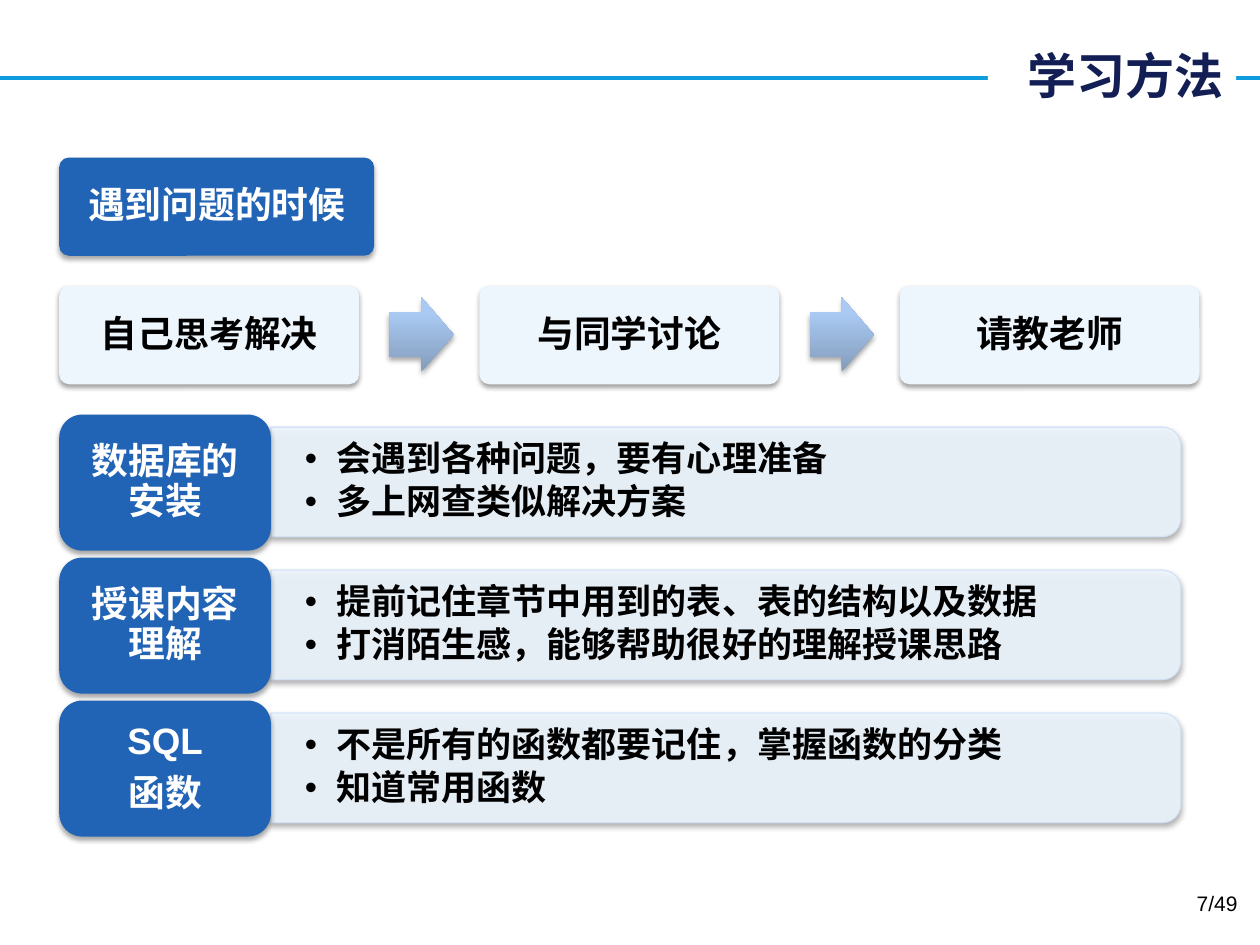
from dataclasses import dataclass

from lxml import etree
from pptx import Presentation
from pptx import util as u
from pptx.dml.color import RGBColor
from pptx.enum import shapes, text
from pptx.oxml import ns

NAVY = RGBColor(0x12, 0x1E, 0x54)
BLUE = RGBColor(0x21, 0x63, 0xB4)
SKY = RGBColor(0x0E, 0x9C, 0xDE)
PALE = RGBColor(0xED, 0xF5, 0xFD)
PALE_EDGE = RGBColor(0xD3, 0xE2, 0xF7)
ARROW_DARK = RGBColor(0x83, 0x9C, 0xBB)
ARROW_LIGHT = RGBColor(0xAA, 0xCA, 0xF3)
WHITE = RGBColor(0xFF, 0xFF, 0xFF)
BLACK = RGBColor(0, 0, 0)
TITLE_FONT = "Noto Sans CJK SC"
LEFT = 0.47


@dataclass
class Box:
    left: float
    top: float
    width: float
    height: float

    def lengths(self) -> list:
        return [u.Inches(v) for v in (self.left, self.top, self.width, self.height)]


@dataclass
class Topic:
    label: list[str]
    advice: list[str]


TOPICS = [
    Topic(["数据库的安装"], ["会遇到各种问题，要有心理准备", "多上网查类似解决方案"]),
    Topic(["授课内容理解"], ["提前记住章节中用到的表、表的结构以及数据",
                       "打消陌生感，能够帮助很好的理解授课思路"]),
    Topic(["SQL", "函数"], ["不是所有的函数都要记住，掌握函数的分类", "知道常用函数"]),
]
# Each step is a row of (text, size) pieces
STEPS = [
    [("自己", 21), ("思考", 20), ("解决", 21)],
    [("与同学讨论", 21)],
    [("请教老师", 21)],
]


def style_run(run, size: float, color: RGBColor, bold: bool = True, name: str = "Arial"):
    run.font.size = u.Pt(size)
    run.font.bold = bold
    run.font.name = name
    run.font.color.rgb = color


def set_margins(frame, across: float, down: float):
    frame.word_wrap = True
    frame.vertical_anchor = text.MSO_ANCHOR.MIDDLE
    frame.margin_left = frame.margin_right = u.Inches(across)
    frame.margin_top = frame.margin_bottom = u.Inches(down)


def add_shadow(shape, opacity: int = 35):
    shape.shadow.inherit = False
    effects = shape._element.spPr.find(ns.qn("a:effectLst"))
    outer = etree.SubElement(effects, ns.qn("a:outerShdw"), blurRad=str(u.Pt(3.1)),
                             dist=str(u.Pt(1.8)), dir="5400000", rotWithShape="0")
    black = etree.SubElement(outer, ns.qn("a:srgbClr"), val="000000")
    etree.SubElement(black, ns.qn("a:alpha"), val=str(opacity * 1000))


def make_translucent(fill_owner, percent: int):
    for color in fill_owner.iter(ns.qn("a:srgbClr")):
        etree.SubElement(color, ns.qn("a:alpha"), val=str(percent * 1000))


def add_card(slide, box: Box, rows: list, fill: RGBColor, color: RGBColor,
             corner: float = 0.1, down: float = 0.09, opacity: int = 35):
    card = slide.shapes.add_shape(shapes.MSO_SHAPE.ROUNDED_RECTANGLE, *box.lengths())
    card.adjustments[0] = corner
    card.fill.solid()
    card.fill.fore_color.rgb = fill
    card.line.fill.background()
    add_shadow(card, opacity)
    frame = card.text_frame
    set_margins(frame, 0.09, down)
    for index, row in enumerate(rows):
        paragraph = frame.paragraphs[0] if index == 0 else frame.add_paragraph()
        paragraph.alignment = text.PP_ALIGN.CENTER
        paragraph.line_spacing = 0.9
        paragraph.space_after = u.Pt(7)
        for piece, size in row:
            run = paragraph.add_run()
            run.text = piece
            style_run(run, size, color)


def add_arrow(slide, box: Box):
    arrow = slide.shapes.add_shape(shapes.MSO_SHAPE.RIGHT_ARROW, *box.lengths())
    arrow.adjustments[0], arrow.adjustments[1] = 0.6, 0.5
    arrow.fill.gradient()
    arrow.fill.gradient_angle = 90
    stops = zip(arrow.fill.gradient_stops, (0, 0.8), (ARROW_DARK, ARROW_LIGHT))
    for stop, position, color in stops:
        stop.position = position
        stop.color.rgb = color
    arrow.line.fill.background()
    add_shadow(arrow)


def add_advice(slide, box: Box, lines: list[str]):
    # The panel is a turned shape, so its rounded end faces right
    upright = Box(box.left + (box.width - box.height) / 2,
                  box.top + (box.height - box.width) / 2, box.height, box.width)
    panel = slide.shapes.add_shape(shapes.MSO_SHAPE.ROUND_2_SAME_RECTANGLE,
                                   *upright.lengths())
    panel.rotation = 90
    panel.fill.solid()
    panel.fill.fore_color.rgb = PALE
    panel.line.color.rgb = PALE_EDGE
    panel.line.width = u.Pt(0.75)
    make_translucent(panel._element.spPr, 90)
    add_shadow(panel)

    frame = slide.shapes.add_textbox(*box.lengths()).text_frame
    frame.text = "\n".join(lines)
    set_margins(frame, 0.27, 0.14)
    for paragraph in frame.paragraphs:
        paragraph.line_spacing = 0.9
        paragraph.space_after = u.Pt(3)
        properties = paragraph._p.get_or_add_pPr()
        properties.set("marL", str(u.Inches(0.25)))
        properties.set("indent", str(u.Inches(-0.25)))
        etree.SubElement(properties, ns.qn("a:buFont"), typeface="Arial")
        etree.SubElement(properties, ns.qn("a:buChar"), char="•")
        style_run(paragraph.runs[0], 20, BLACK)


def add_title(slide):
    rule = slide.shapes.add_connector(shapes.MSO_CONNECTOR.STRAIGHT, 0, u.Inches(0.62),
                                      u.Inches(10), u.Inches(0.62))
    rule.line.color.rgb = SKY
    rule.line.width = u.Pt(2.25)
    etree.SubElement(rule._element.spPr, ns.qn("a:effectLst"))
    slide.shapes._spTree.insert(2, rule._element)  # behind the title

    title = slide.shapes.title
    title.left, title.top, title.width, title.height = Box(7.84, 0.31, 1.97, 0.57).lengths()
    title.fill.solid()
    title.fill.fore_color.rgb = WHITE
    title.text_frame.text = "学习方法"
    set_margins(title.text_frame, 0.1, 0.05)
    paragraph = title.text_frame.paragraphs[0]
    paragraph.alignment = text.PP_ALIGN.RIGHT
    run = paragraph.runs[0]
    style_run(run, 28, NAVY, name=TITLE_FONT)
    etree.SubElement(run._r.rPr, ns.qn("a:ea"), typeface=TITLE_FONT)


def main():
    deck = Presentation()
    deck.slide_width, deck.slide_height = u.Inches(10), u.Inches(7.5)
    slide = deck.slides.add_slide(deck.slide_layouts[5])
    add_title(slide)

    # Heading
    add_card(slide, Box(LEFT, 1.25, 2.5, 0.78), [[("遇到问题的时候", 21)]], BLUE, WHITE)

    # Topics with advice
    for index, topic in enumerate(TOPICS):
        top = 3.29 + index * 1.135
        add_advice(slide, Box(2.15, top + 0.1, 7.22, 0.87), topic.advice)
        add_card(slide, Box(LEFT, top, 1.68, 1.08), [[(line, 21)] for line in topic.label],
                 BLUE, WHITE, corner=0.17, down=0.04)

    # Steps joined by arrows
    for index, step in enumerate(STEPS):
        left = LEFT + index * 3.335
        add_card(slide, Box(left, 2.27, 2.38, 0.78), [step], PALE, BLACK, opacity=38)
        if index < len(STEPS) - 1:
            add_arrow(slide, Box(left + 2.62, 2.36, 0.51, 0.59))

    # Page number
    page = slide.shapes.add_textbox(*Box(7.59, 7.02, 2.33, 0.4).lengths()).text_frame
    page.text = "7/49"
    page.word_wrap = True
    page.paragraphs[0].alignment = text.PP_ALIGN.RIGHT
    style_run(page.paragraphs[0].runs[0], 12, BLACK, bold=False)

    deck.save("out.pptx")


if __name__ == "__main__":
    main()
